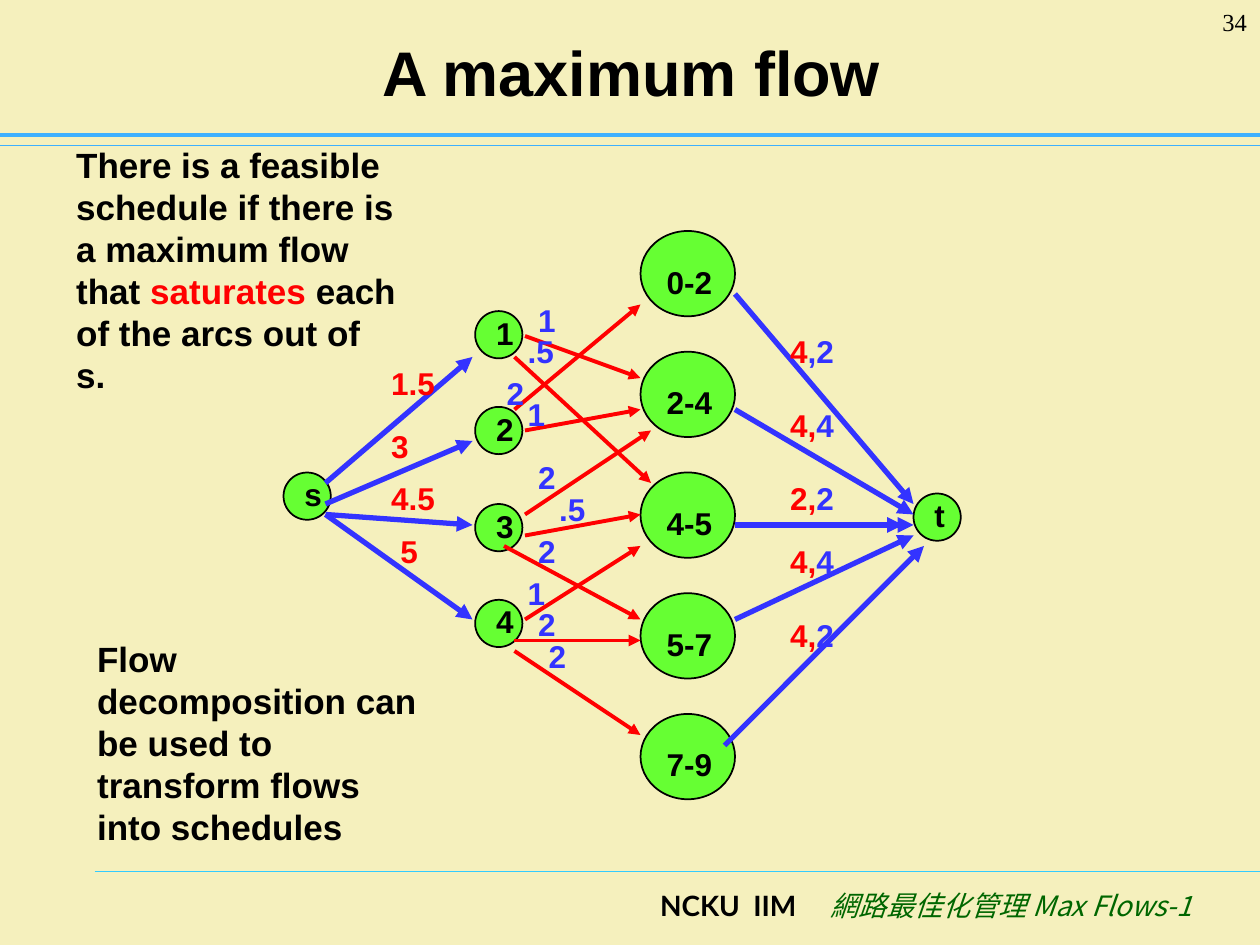
from lxml import etree
from pptx import Presentation
from pptx import util as u
from pptx.dml import color
from pptx.enum import shapes, text
from pptx.oxml import ns

SCALE = 9525
BLACK, RED, BLUE, GREEN = "000000", "FF0000", "3333FF", "66FF33"
SKY = "3DB0FF"


def px(n):
    """Turn whole px into EMU."""
    return u.Emu(n * SCALE)


def rgb(value):
    """Turn a hex string into a colour."""
    return color.RGBColor.from_string(value)


def add_text(s, box, runs, size=18, font="Arial", bold=True, align="LEFT",
             inset=(10, 5), wrap=True, anchor="TOP"):
    """Add a one-paragraph text box from (text, colour) runs."""
    tf = s.shapes.add_textbox(*map(px, box)).text_frame
    tf.word_wrap = wrap
    tf.margin_left = tf.margin_right = px(inset[0])
    tf.margin_top = tf.margin_bottom = px(inset[1])
    tf.vertical_anchor = getattr(text.MSO_ANCHOR, anchor)
    p = tf.paragraphs[0]
    p.alignment = getattr(text.PP_ALIGN, align)
    p.font.size, p.font.name, p.font.bold = u.Pt(size), font, bold
    for words, fill in runs:
        r = p.add_run()
        r.text = words
        r.font.color.rgb = rgb(fill)
    return p


def add_line(s, start, end, fill, width, arrow=False):
    """Add a straight line, with an arrowhead at its end if asked."""
    sp = s.shapes.add_connector(shapes.MSO_CONNECTOR.STRAIGHT, *map(px, start + end))
    sp.line.color.rgb = rgb(fill)
    sp.line.width = u.Pt(width)
    etree.SubElement(sp._element.spPr, ns.qn("a:effectLst"))
    if arrow:
        etree.SubElement(sp.line._get_or_add_ln(), ns.qn("a:tailEnd"), type="triangle")


def add_node(s, box, label, offset, label_width):
    """Add a green ellipse and its label, offset from the ellipse's corner."""
    sp = s.shapes.add_shape(shapes.MSO_SHAPE.OVAL, *map(px, box))
    sp.shadow.inherit = False
    sp.fill.solid()
    sp.fill.fore_color.rgb = rgb(GREEN)
    sp.line.color.rgb = rgb(BLACK)
    sp.line.width = u.Pt(1)
    add_text(s, (box[0] + offset[0], box[1] + offset[1], label_width, 29),
             [(label, BLACK)], inset=(0, 0), wrap=False)


def add_header(s, x, y, w):
    """Add the title, the page number and the double rule."""
    add_line(s, (x, y + 111), (x + w, y + 111), SKY, 0.75)
    add_line(s, (x, y + 103), (x + w, y + 103), SKY, 2.5)
    add_text(s, (x + 49, y + 12, 864, 84), [("A maximum flow", BLACK)], 36,
             align="CENTER", anchor="MIDDLE")
    add_text(s, (x + w - 80, y, 80, 48), [("34", BLACK)], 14, "Times New Roman",
             bold=False, align="RIGHT")


def add_footer(s, x, y, w):
    """Add the bottom rule and the course line, spaced by tab stops."""
    add_line(s, (x, y), (x + w, y), "33CCFF", 0.75)
    p = add_text(s, (x + 421, y + 8, 450, 48), [], 16, "Lato")
    tabs = etree.Element(ns.qn("a:tabLst"))
    for stop in (71, 130):
        etree.SubElement(tabs, ns.qn("a:tab"), pos=str(px(stop)), algn="l")
    p._p.get_or_add_pPr().insert(0, tabs)
    r = p.add_run()
    r.text = "NCKU\tIIM\t"
    r.font.color.rgb = rgb(BLACK)
    r = p.add_run()
    r.text = "網路最佳化管理 Max Flows-1"
    r.font.name, r.font.bold, r.font.italic = "Noto Sans CJK SC", False, True
    r.font.color.rgb = rgb("006600")
    etree.SubElement(r.font._element, ns.qn("a:ea"), typeface="Noto Sans CJK SC")


def add_notes_column(s, x, y, w):
    """Add the two explanations on the left."""
    add_text(s, (x + 16, y + 377, w, 170),
             [("Flow decomposition can be used to transform flows into schedules", BLACK)], 20)
    add_text(s, (x, y, w, 202),
             [("There is a feasible schedule if there is a maximum flow that ", BLACK),
              ("saturates", RED), (" each of the arcs out of s.", BLACK)], 20)


def add_network(s, x, y):
    """Add the flow network: nodes, arcs and arc labels."""
    for i in range(4):
        add_node(s, (x + 146, y + 61 + round(i * 73.3), 36, 36), str(i + 1), (16, 2), 13)
    for i, period in enumerate(("0-2", "2-4", "4-5", "5-7", "7-9")):
        add_node(s, (x + 272, y + i * 92, 72, 65), period, (20, 24), 35)
    add_node(s, (x, y + 184, 36, 36), "s", (16, 2), 13)
    add_node(s, (x + 480, y + 200, 36, 36), "t", (16, 2), 8)

    outer_arcs = [
        (32, 192, 144, 96), (32, 208, 144, 160), (32, 216, 144, 224), (32, 216, 144, 296),
        (344, 48, 480, 208), (344, 136, 480, 216), (344, 224, 472, 224),
        (352, 224, 480, 224), (344, 296, 480, 232), (336, 392, 488, 240),
    ]
    middle_arcs = [
        (184, 80, 272, 112), (176, 96, 280, 192), (176, 136, 272, 56),
        (184, 152, 272, 136), (184, 216, 280, 152), (184, 232, 272, 216),
        (168, 240, 272, 296), (184, 296, 272, 240), (176, 312, 272, 312),
        (176, 320, 272, 384),
    ]
    source_labels = [(72, 96, "1.5"), (72, 144, "3"), (72, 184, "4.5"), (79, 224, "5")]
    sink_labels = [(72, "4", ",2"), (128, "4,", "4"), (184, "2,", "2"),
                   (232, "4,", "4"), (288, "4,", "2")]
    middle_labels = [
        (184, 48, "1"), (176, 72, ".5"), (160, 104, "2"), (176, 120, "1"),
        (184, 168, "2"), (200, 192, ".5"), (184, 224, "2"), (176, 256, "1"),
        (184, 280, "2"), (192, 304, "2"),
    ]
    labels = [(dx, dy, [(flow, RED)]) for dx, dy, flow in source_labels]
    labels += [(376, dy, [(cap, RED), (flow, BLUE)]) for dy, cap, flow in sink_labels]
    labels += [(dx, dy, [(flow, BLUE)]) for dx, dy, flow in middle_labels]

    for arcs, fill, width in ((outer_arcs, BLUE, 3), (middle_arcs, RED, 2.25)):
        for x1, y1, x2, y2 in arcs:
            add_line(s, (x + x1, y + y1), (x + x2, y + y2), fill, width, arrow=True)
    for dx, dy, runs in labels:
        add_text(s, (x + dx, y + dy, 56, 38), runs)


def main():
    """Build and save the slide."""
    prs = Presentation()
    prs.slide_width, prs.slide_height = px(960), px(720)
    s = prs.slides.add_slide(prs.slide_layouts[6])
    s.background.fill.solid()
    s.background.fill.fore_color.rgb = rgb("F5F0BD")
    add_header(s, 0, 0, 960)
    add_footer(s, 72, 664, 888)
    add_network(s, 216, 176)
    add_notes_column(s, 48, 104, 264)
    prs.save("out.pptx")


if __name__ == "__main__":
    main()
